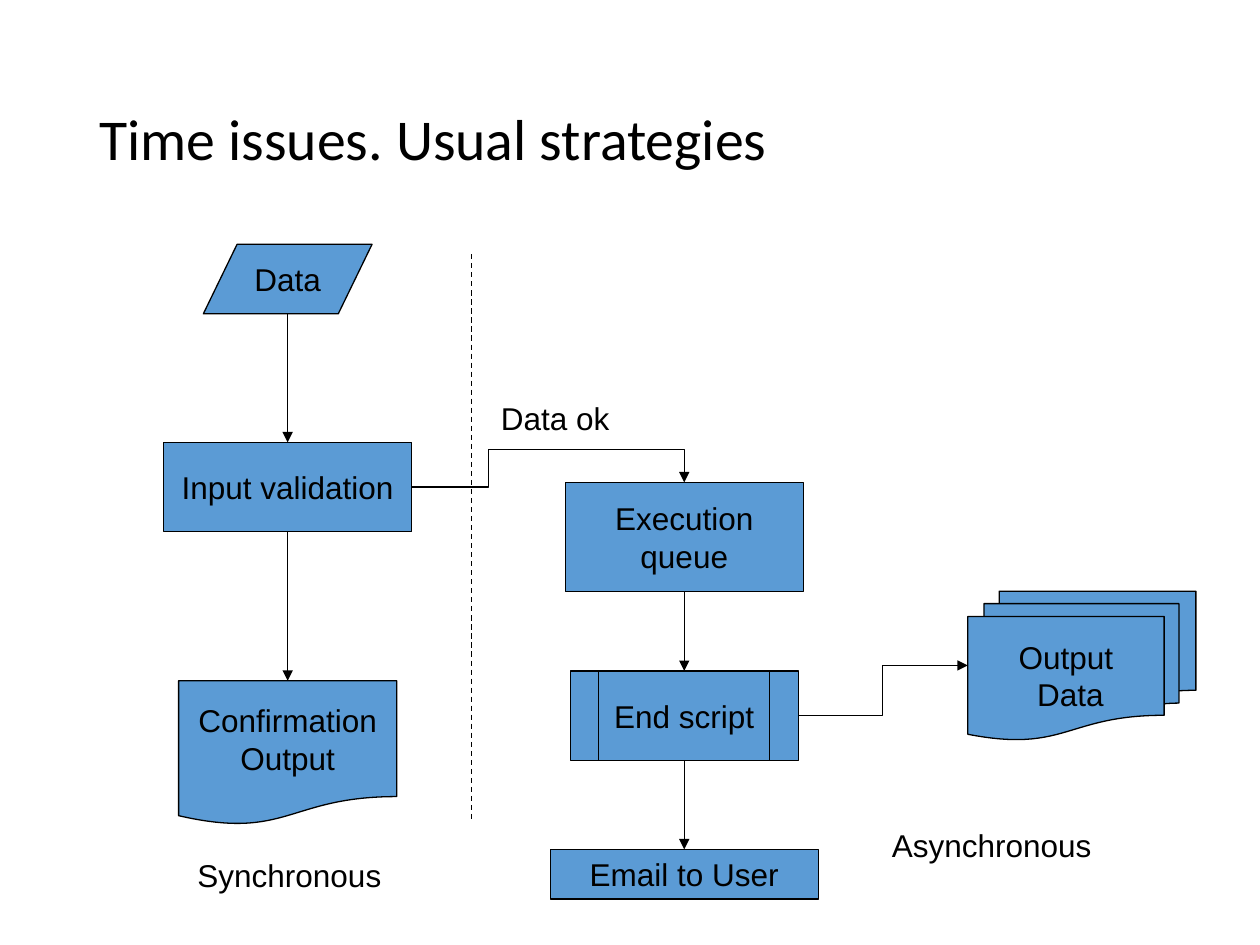
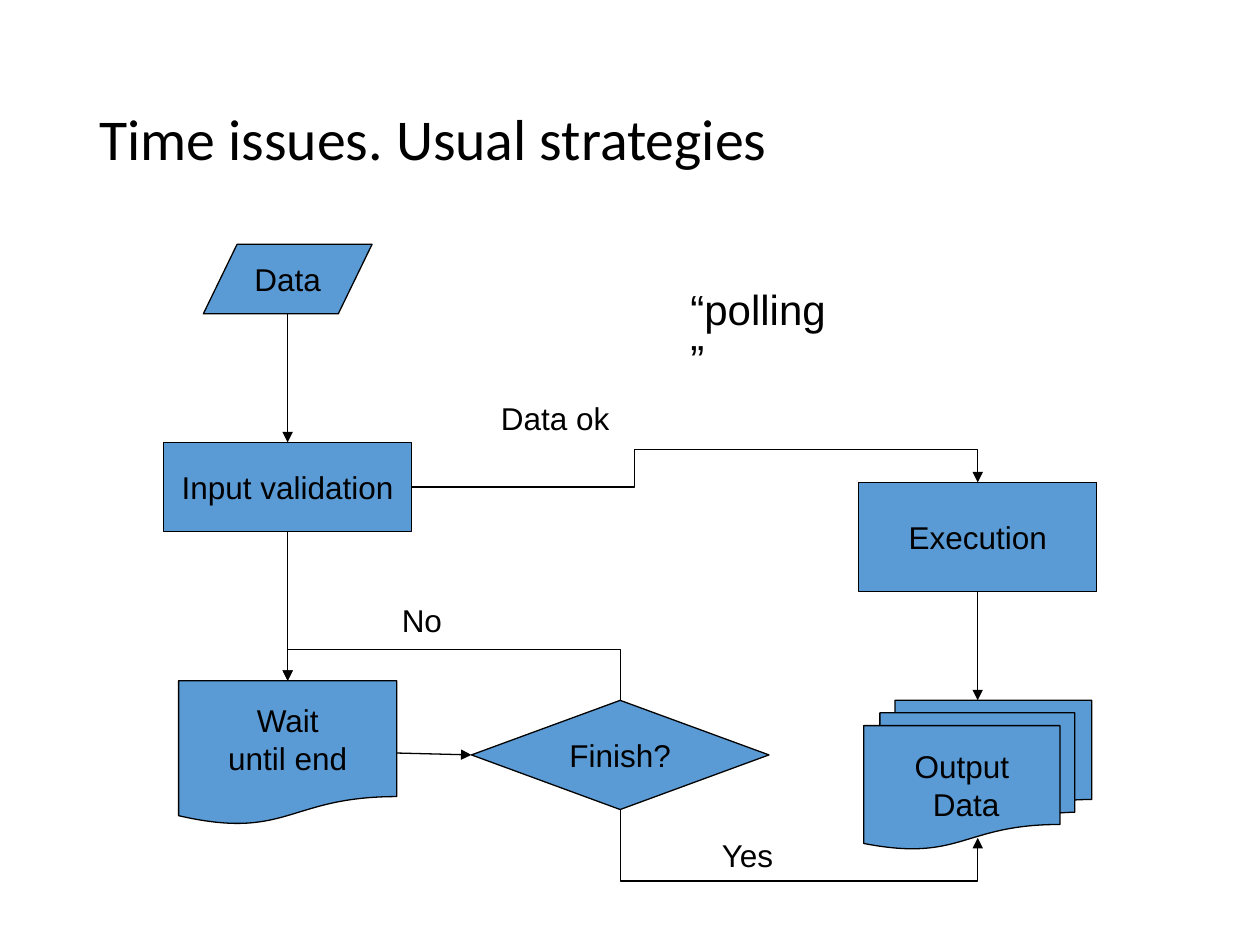
import pptx
import pptx.util
import pptx.dml.color
import pptx.enum.dml
import pptx.enum.shapes
import pptx.enum.text
import pptx.oxml
import pptx.oxml.ns

Pt = pptx.util.Pt
SHAPE = pptx.enum.shapes.MSO_SHAPE
LINK = pptx.enum.shapes.MSO_CONNECTOR
BLUE = pptx.dml.color.RGBColor(0x5B, 0x9B, 0xD5)
BLACK = pptx.dml.color.RGBColor(0, 0, 0)

TITLE = "Time issues. Usual strategies"
TITLE_BOX = (49.7, 28.8, 621.4, 104.4)

# Column centres of the flow charts
LEFT, MIDDLE, DECISION, RIGHT, OUTPUT = 164.4, 391, 354.4, 558.7, 618.2

# Step kinds: preset shape, width, height
KINDS = {
    "data": (SHAPE.FLOWCHART_DATA, 96.4, 39.7),
    "validation": (SHAPE.FLOWCHART_PROCESS, 141.8, 51),
    "page": (SHAPE.FLOWCHART_DOCUMENT, 124.6, 82.6),
    "execution": (SHAPE.FLOWCHART_PROCESS, 136.1, 62.4),
    "script": (SHAPE.FLOWCHART_PREDEFINED_PROCESS, 130.3, 51),
    "pages": (SHAPE.FLOWCHART_MULTIDOCUMENT, 130.3, 85),
    "email": (SHAPE.FLOWCHART_PROCESS, 153.2, 28.3),
    "decision": (SHAPE.FLOWCHART_DECISION, 170, 62.4),
}

# Steps: kind, column centre, top, text (\v breaks a line)
SHARED_STEPS = {
    "data": ("data", LEFT, 139.6, "Data"),
    "validation": ("validation", LEFT, 252.8, "Input validation"),
}
SHARED_ARROWS = [("data", "validation"), ("validation", "page")]
SHARED_LABELS = [("Data ok", 279.2, 224.6, 76.3, 18)]

# Arrows join bottom to top; elbows: start step, start side, end step, end side, bends at
SLIDES = [
    {
        "steps": {
            "page": ("page", LEFT, 389, "Confirmation\vOutput"),
            "execution": ("execution", MIDDLE, 275.7, "Execution\vqueue"),
            "script": ("script", MIDDLE, 383.4, "End script"),
            "output": ("pages", OUTPUT, 337.8, "Output\v Data"),
            "email": ("email", MIDDLE, 485.4, "Email to User"),
        },
        "arrows": [("execution", "script"), ("script", "email")],
        "elbows": [
            ("validation", "right", "execution", "top", (279, 257)),
            ("script", "right", "output", "left", (504.2,)),
        ],
        "labels": [("Synchronous", 105.8, 485.4, 119.5, 18),
                   ("Asynchronous", 502.6, 468.5, 128.2, 18)],
        "divider": (269.3, 145.3, 468.5),
    },
    {
        "steps": {
            "page": ("page", LEFT, 389, "Wait\nuntil end"),
            "execution": ("execution", RIGHT, 275.7, "Execution"),
            "output": ("pages", RIGHT, 400.2, "Output\v Data"),
            "finish": ("decision", DECISION, 400.2, "Finish?"),
        },
        "arrows": [("execution", "output")],
        "side_arrows": [("page", "finish")],
        "elbows": [
            ("validation", "right", "execution", "top", (362.6, 257)),
            ("finish", "top", "page", "top", (371,)),
            ("finish", "bottom", "output", "bottom", (503.5,)),
        ],
        "labels": [("No", 222.5, 340, 37.4, 18), ("Yes", 405.4, 474.2, 45.4, 18),
                   ("“polling”", 387.4, 158.4, 99.4, 24)],
    },
]


def write(shape, text, size, font="Arial", align=None, anchor=None, wrap=False):
    tf = shape.text_frame
    tf.text = text
    tf.word_wrap = wrap
    if anchor is not None:
        tf.vertical_anchor = anchor
    for p in tf.paragraphs:
        p.alignment = align or pptx.enum.text.PP_ALIGN.LEFT
        p.font.name, p.font.size = font, Pt(size)
        p.font.color.rgb = BLACK
    return tf


def add_title(s):
    tb = s.shapes.add_textbox(*map(Pt, TITLE_BOX))
    tf = write(tb, TITLE, 33, "Calibri", anchor=pptx.enum.text.MSO_ANCHOR.MIDDLE, wrap=True)
    tf.paragraphs[0].line_spacing = 0.9


def add_label(s, text, x, y, width, size):
    tb = s.shapes.add_textbox(Pt(x), Pt(y), Pt(width), Pt(size * 1.2 + 7.2))
    tf = write(tb, text, size)
    tf.auto_size = pptx.enum.text.MSO_AUTO_SIZE.SHAPE_TO_FIT_TEXT


def add_step(s, kind, center, top, text):
    preset, w, h = KINDS[kind]
    sp = s.shapes.add_shape(preset, Pt(center - w / 2), Pt(top), Pt(w), Pt(h))
    sp.shadow.inherit = False
    sp.fill.solid()
    sp.fill.fore_color.rgb = BLUE
    sp.line.color.rgb = BLACK
    sp.line.width = Pt(0.75)
    write(sp, text, 18, align=pptx.enum.text.PP_ALIGN.CENTER,
          anchor=pptx.enum.text.MSO_ANCHOR.MIDDLE)


def side_point(step, side):
    kind, center, top, _ = step
    _, w, h = KINDS[kind]
    if side == "bottom":
        # The wavy edge of stacked pages lies above the box bottom
        return center, top + h * (0.925 if kind == "pages" else 1)
    return {"top": (center, top), "left": (center - w / 2, top + h / 2),
            "right": (center + w / 2, top + h / 2)}[side]


def add_line(s, start, end, kind=LINK.STRAIGHT, arrow=True):
    c = s.shapes.add_connector(kind, *map(Pt, start + end))
    c.line.color.rgb = BLACK
    c.line.width = Pt(0.75)
    if arrow:
        tail = pptx.oxml.ns.qn("a:tailEnd")
        ln = c.line._get_or_add_ln()
        ln.append(ln.makeelement(tail, {"type": "triangle"}))
    sp_pr = c._element.spPr
    sp_pr.append(sp_pr.makeelement(pptx.oxml.ns.qn("a:effectLst"), {}))
    return c


def add_elbow(s, start, end, bends, upright):
    (x0, y0), (x1, y1) = start, end
    dx, dy = x1 - x0, y1 - y0
    if upright:
        # A quarter turn swaps the width and height of the box
        cx, cy = (x0 + x1) / 2, (y0 + y1) / 2
        c = add_line(s, (cx + dy / 2, cy - dx / 2), (cx - dy / 2, cy + dx / 2), LINK.ELBOW)
        c._element.spPr.xfrm.set("rot", str(270 * 60000))
        ratios = [(bends[0] - y0) / dy]
    else:
        c = add_line(s, start, end, LINK.ELBOW)
        ratios = [(b - a) / d for b, a, d in zip(bends, start, (dx, dy))]
    qn = pptx.oxml.ns.qn
    geom = c._element.spPr.find(qn("a:prstGeom"))
    geom.set("prst", f"bentConnector{len(ratios) + 2}")
    guides = geom.find(qn("a:avLst"))
    for i, ratio in enumerate(ratios, 1):
        guides.append(guides.makeelement(
            qn("a:gd"), {"name": f"adj{i}", "fmla": f"val {round(ratio * 100000)}"}))


def add_slide(prs, flow):
    s = prs.slides.add_slide(prs.slide_layouts[6])
    add_title(s)
    # Steps
    steps = {**SHARED_STEPS, **flow["steps"]}
    for step in steps.values():
        add_step(s, *step)
    # Arrows
    for a, b in SHARED_ARROWS + flow["arrows"]:
        add_line(s, side_point(steps[a], "bottom"), side_point(steps[b], "top"))
    for a, b in flow.get("side_arrows", []):
        add_line(s, side_point(steps[a], "right"), side_point(steps[b], "left"))
    for a, side_a, b, side_b, bends in flow["elbows"]:
        add_elbow(s, side_point(steps[a], side_a), side_point(steps[b], side_b),
                  bends, side_a in ("top", "bottom"))
    # Labels and divider
    for label in SHARED_LABELS + flow["labels"]:
        add_label(s, *label)
    if "divider" in flow:
        x, top, bottom = flow["divider"]
        c = add_line(s, (x, top), (x, bottom), arrow=False)
        c.line.dash_style = pptx.enum.dml.MSO_LINE.DASH


def main():
    prs = pptx.Presentation()
    prs.slide_width, prs.slide_height = Pt(720), Pt(540)
    for flow in SLIDES:
        add_slide(prs, flow)
    prs.save("out.pptx")


if __name__ == "__main__":
    main()
